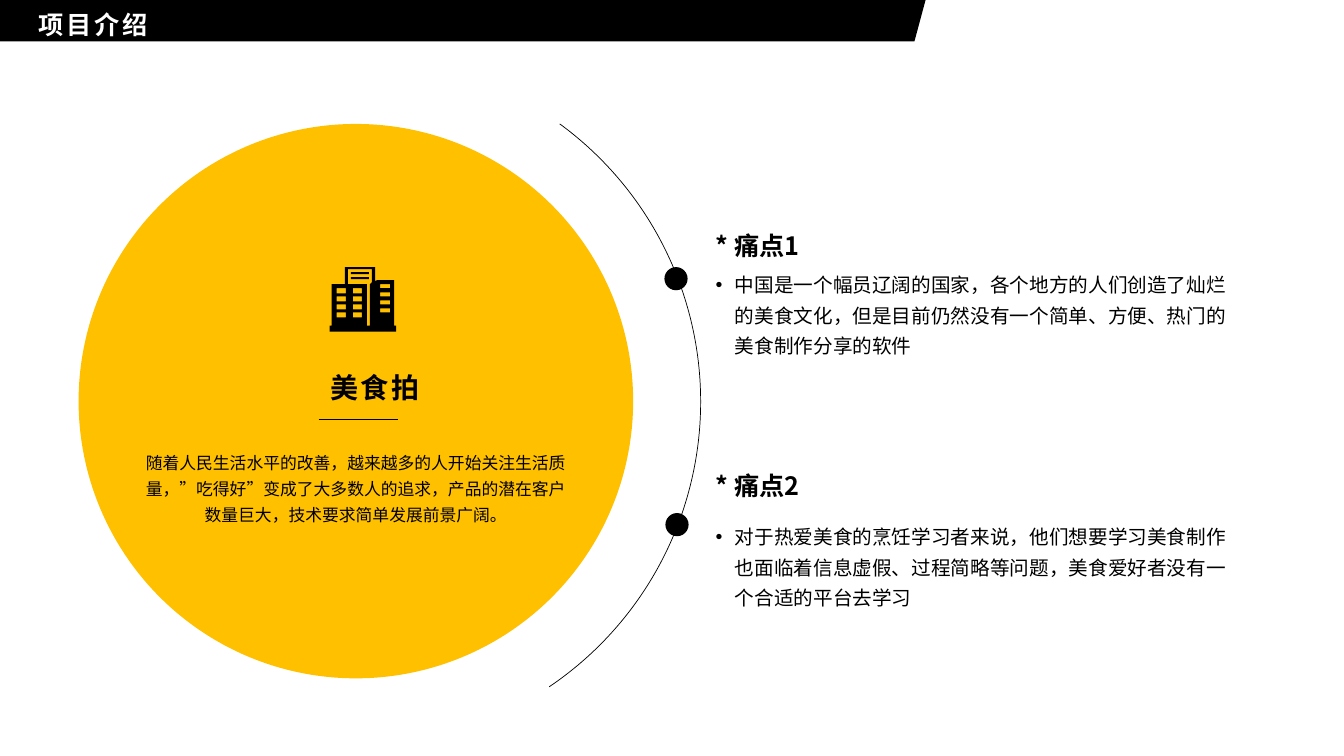
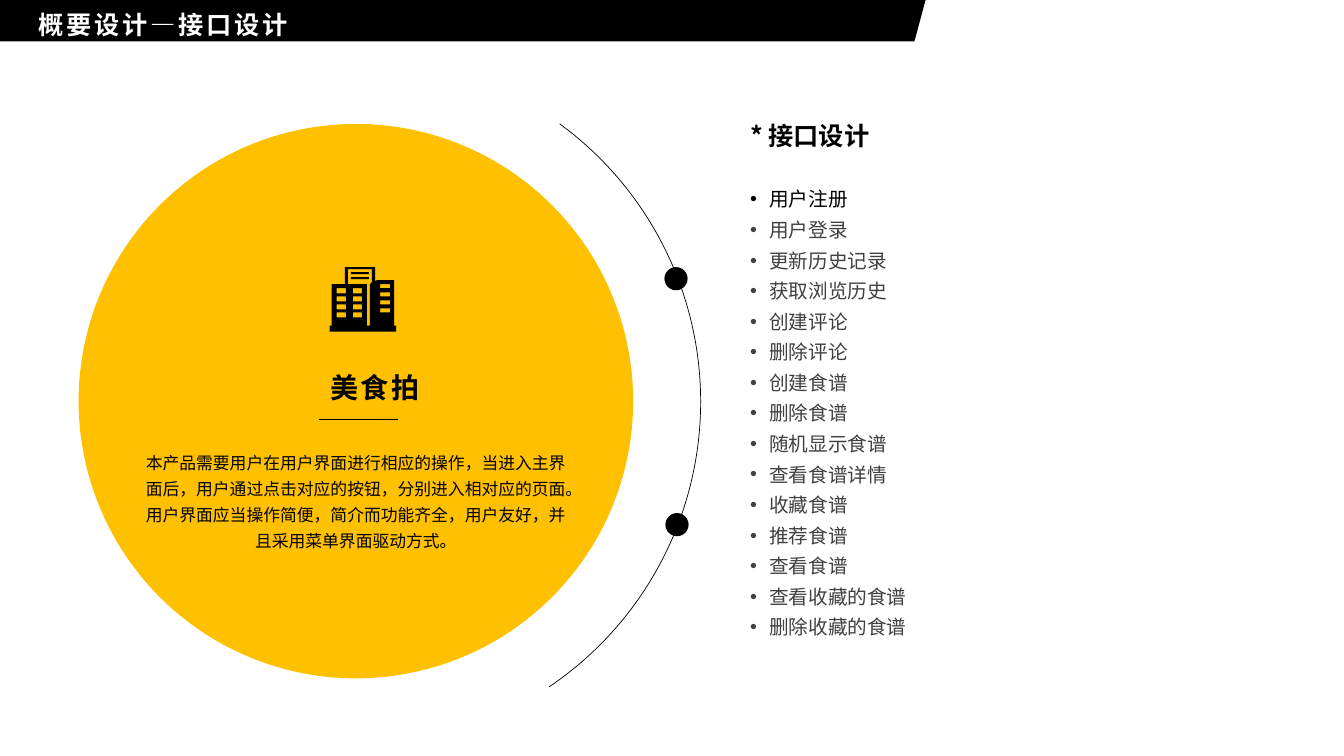
from dataclasses import dataclass

from pptx import Presentation
from pptx import util as u
from pptx.dml.color import RGBColor
from pptx.enum import shapes, text
from pptx.oxml import ns, xmlchemy
from pptx.shapes.autoshape import Shape
from pptx.slide import Slide

# Shared look
PX = 9144  # EMU in one px, 100 px to the inch
SLIDE_W, SLIDE_H = 1333, 750
FONT = "Noto Sans CJK SC"
BLACK, WHITE, YELLOW, GREY = "000000", "FFFFFF", "FFC000", "404040"
INDENT = 19
PRODUCT = "美食拍"

Point = tuple[int, int]


@dataclass(frozen=True)
class Box:
    left: int
    top: int
    width: int
    height: int

    def emu(self) -> list[int]:
        return [v * PX for v in (self.left, self.top, self.width, self.height)]

    def corners(self) -> list[Point]:
        right, bottom = self.left + self.width, self.top + self.height
        return [(self.left, self.top), (self.left, bottom), (right, bottom), (right, self.top)]


@dataclass(frozen=True)
class Style:
    size: int
    color: str = BLACK
    bold: bool = False
    spacing: int = 0  # hundredths of a point
    align: text.PP_ALIGN = text.PP_ALIGN.LEFT
    line: float = 1.0
    bullet: bool = False


@dataclass(frozen=True)
class Section:
    heading: str
    heading_box: Box
    items: list[str]
    items_box: Box


@dataclass(frozen=True)
class Page:
    title: str
    summary: str
    sections: list[Section]


CENTER = text.PP_ALIGN.CENTER
TITLE = Style(18, WHITE, True, spacing=200, line=1.2)
NAME = Style(20, bold=True, spacing=200, align=CENTER, line=1.2)
SUMMARY = Style(12, align=CENTER, line=1.3)
HEADING = Style(18, bold=True)
ITEM = Style(14, line=1.3, bullet=True)
LATER_ITEM = Style(14, GREY, line=1.3, bullet=True)

# Geometry shared by both slides
BAND = [(918, 0), (0, 0), (0, 41), (907, 41)]
DISC = Box(78, 123, 550, 550)
ARC = Box(12, 57, 683, 683)
ARC_DEGREES = (306.2, 55.93)
DOTS = [Box(659, 265, 23, 23), Box(660, 509, 23, 23)]

# Building icon: outline, gap between the towers, paper lines and windows
BUILDING = [
    [(342, 265), (372, 265), (372, 279), (374, 278), (391, 278), (391, 323), (393, 323),
     (393, 329), (327, 329), (327, 323), (329, 323), (329, 282), (342, 282)],
    [(345, 267), (345, 282), (364, 282), (364, 323), (367, 323), (367, 282), (369, 280),
     (369, 267)],
    *[Box(348, y, 18, 2).corners() for y in (270, 275)],
    *[Box(x, 286 + 8 * row, 9, 5).corners() for x in (334, 350) for row in range(4)],
    *[Box(377, 282 + 8 * row, 10, 4).corners() for row in range(4)],
]


def rgb(value: str) -> RGBColor:
    return RGBColor.from_string(value)


def paint(sp: Shape, color: str) -> None:
    sp.shadow.inherit = False
    sp.fill.solid()
    sp.fill.fore_color.rgb = rgb(color)
    sp.line.fill.background()


def add_ellipse(s: Slide, box: Box, color: str) -> None:
    paint(s.shapes.add_shape(shapes.MSO_SHAPE.OVAL, *box.emu()), color)


def add_outline(s: Slide, contours: list[list[Point]], color: str) -> None:
    first, *rest = contours
    fb = s.shapes.build_freeform(*first[0], scale=PX)
    fb.add_line_segments(first[1:], close=True)
    for points in rest:
        fb.move_to(*points[0])
        fb.add_line_segments(points[1:], close=True)
    paint(fb.convert_to_shape(), color)


def add_arc(s: Slide) -> None:
    sp = s.shapes.add_shape(shapes.MSO_SHAPE.ARC, *ARC.emu())
    sp.shadow.inherit = False
    for i, degrees in enumerate(ARC_DEGREES):
        sp.adjustments[i] = degrees * 0.6  # 60000 units a degree, over 100000
    sp.fill.background()
    sp.line.color.rgb = rgb(BLACK)
    sp.line.width = u.Pt(0.5)


def add_rule(s: Slide, start: Point, end: Point) -> None:
    ends = [v * PX for v in (*start, *end)]
    cx = s.shapes.add_connector(shapes.MSO_CONNECTOR.STRAIGHT, *ends)
    cx.line.color.rgb = rgb(BLACK)
    cx.line.width = u.Pt(1)
    cx._element.spPr.append(xmlchemy.OxmlElement("a:effectLst"))


def add_bullet(pPr) -> None:
    pPr.set("marL", str(INDENT * PX))
    pPr.set("indent", str(-INDENT * PX))
    for tag, key, value in (("a:buFont", "typeface", "Arial"), ("a:buChar", "char", "•")):
        el = xmlchemy.OxmlElement(tag)
        el.set(key, value)
        pPr.append(el)


def add_text(s: Slide, box: Box, lines: list[str], style: Style,
             later: Style | None = None) -> None:
    """Write one paragraph a line; lines after the first may take another style."""
    tf = s.shapes.add_textbox(*box.emu()).text_frame
    tf.word_wrap = True
    tf.auto_size = text.MSO_AUTO_SIZE.SHAPE_TO_FIT_TEXT
    for i, line in enumerate(lines):
        p = tf.add_paragraph() if i else tf.paragraphs[0]
        st = later if i and later else style
        p.alignment = st.align
        p.line_spacing = st.line
        if st.bullet:
            add_bullet(p._p.get_or_add_pPr())
        r = p.add_run()
        r.text = line
        for name, value in {"size": u.Pt(st.size), "bold": st.bold, "name": FONT}.items():
            setattr(r.font, name, value)
        r.font.color.rgb = rgb(st.color)
        rPr = r._r.get_or_add_rPr()
        if st.spacing:
            rPr.set("spc", str(st.spacing))
        ea = xmlchemy.OxmlElement("a:ea")
        ea.set("typeface", FONT)
        rPr.find(ns.qn("a:latin")).addnext(ea)


def add_page(prs, page: Page) -> None:
    s = prs.slides.add_slide(prs.slide_layouts[6])
    # Title band
    add_arc(s)
    add_outline(s, [BAND], BLACK)
    add_text(s, Box(28, -2, 401, 46), [page.title], TITLE)
    # Product disc
    add_ellipse(s, DISC, YELLOW)
    add_text(s, Box(258, 356, 228, 52), [PRODUCT], NAME)
    add_text(s, Box(130, 438, 446, 89), [page.summary], SUMMARY)
    add_rule(s, (316, 416), (395, 416))
    add_outline(s, BUILDING, BLACK)
    for dot in DOTS:
        add_ellipse(s, dot, BLACK)
    # Sections on the right
    for sec in page.sections:
        add_text(s, sec.heading_box, [sec.heading], HEADING)
        add_text(s, sec.items_box, sec.items, ITEM, LATER_ITEM)


PAGES = [
    Page(
        "项目介绍",
        "随着人民生活水平的改善，越来越多的人开始关注生活质量，”吃得好”变成了大多数人的追求，"
        "产品的潜在客户数量巨大，技术要求简单发展前景广阔。",
        [
            Section("* 痛点1", Box(700, 224, 172, 40),
                    ["中国是一个幅员辽阔的国家，各个地方的人们创造了灿烂的美食文化，"
                     "但是目前仍然没有一个简单、方便、热门的美食制作分享的软件"],
                    Box(700, 259, 545, 99)),
            Section("* 痛点2", Box(700, 462, 142, 40),
                    ["对于热爱美食的烹饪学习者来说，他们想要学习美食制作也面临着信息虚假、"
                     "过程简略等问题，美食爱好者没有一个合适的平台去学习"],
                    Box(700, 509, 545, 99)),
        ],
    ),
    Page(
        "概要设计—接口设计",
        "本产品需要用户在用户界面进行相应的操作，当进入主界面后，用户通过点击对应的按钮，"
        "分别进入相对应的页面。用户界面应当操作简便，简介而功能齐全，用户友好，"
        "并且采用菜单界面驱动方式。",
        [
            Section("* 接口设计", Box(734, 114, 172, 40),
                    ["用户注册", "用户登录", "更新历史记录", "获取浏览历史", "创建评论",
                     "删除评论", "创建食谱", "删除食谱", "随机显示食谱", "查看食谱详情",
                     "收藏食谱", "推荐食谱", "查看食谱", "查看收藏的食谱", "删除收藏的食谱"],
                    Box(734, 174, 545, 531)),
        ],
    ),
]


def main() -> None:
    prs = Presentation()
    prs.slide_width, prs.slide_height = SLIDE_W * PX, SLIDE_H * PX
    for page in PAGES:
        add_page(prs, page)
    prs.save("out.pptx")


if __name__ == "__main__":
    main()
